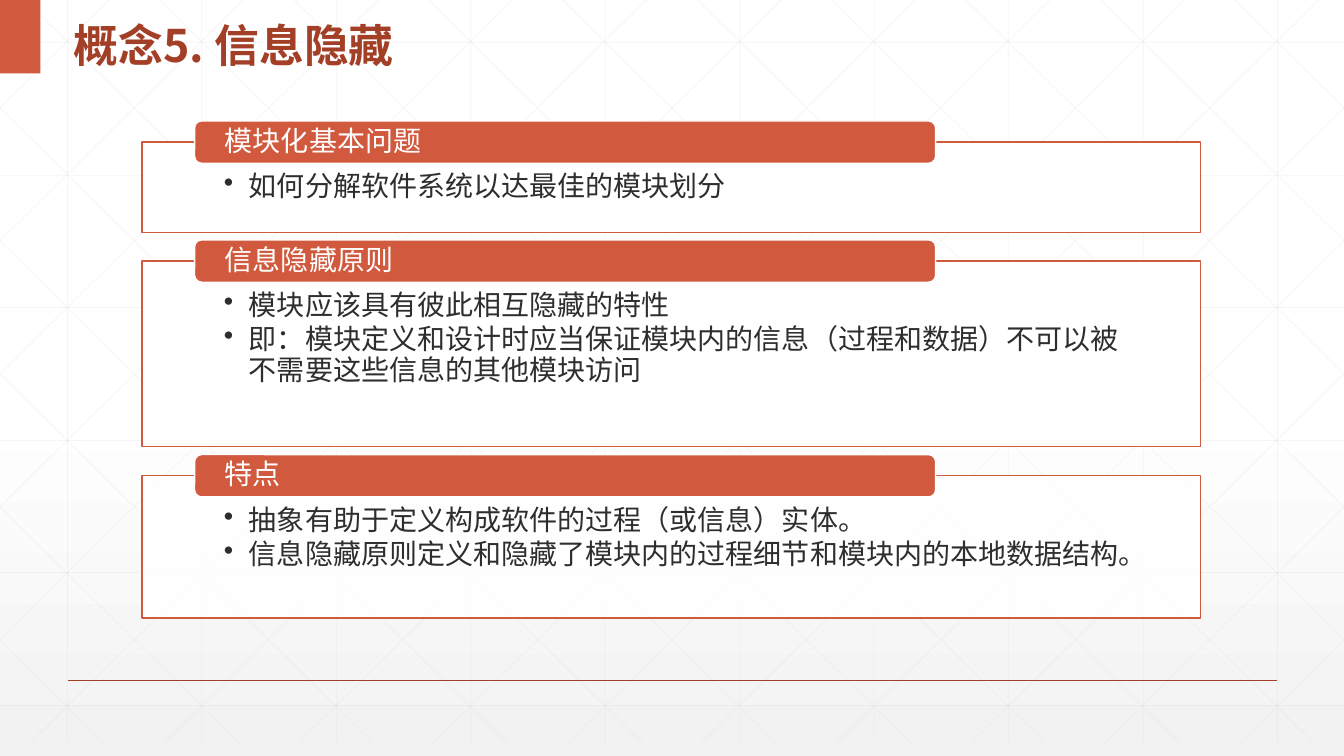
from lxml.etree import SubElement
from pptx import Presentation
from pptx.dml.color import RGBColor
from pptx.enum.shapes import MSO_CONNECTOR as CONN, MSO_SHAPE as SHAPE
from pptx.enum.text import MSO_ANCHOR as ANCHOR, PP_ALIGN as ALIGN
from pptx.oxml import parse_xml
from pptx.oxml.ns import nsdecls, qn
from pptx.util import Pt

PX = 9144  # 100 px to the inch
W, H = 1333, 750
GRID_H = 737
STEP = 400 / 3  # spacing of the grid columns
RUN = 745  # horizontal reach of a full diagonal

ORANGE = RGBColor(0xD1, 0x5A, 0x3E)
RUST = RGBColor(0xA4, 0x3F, 0x27)
INK = RGBColor(0x2D, 0x2E, 0x2D)
WHITE = RGBColor(0xFF, 0xFF, 0xFF)
GRID = RGBColor(0xD9, 0xD9, 0xD9)

# top, height, heading, bullets
PANELS = [
    (141, 90, "模块化基本问题", ["如何分解软件系统以达最佳的模块划分"]),
    (259, 184, "信息隐藏原则", [
        "模块应该具有彼此相互隐藏的特性",
        "即：模块定义和设计时应当保证模块内的信息（过程和数据）不可以被不需要这些信息的其他模块访问",
    ]),
    (472, 141, "特点", [
        "抽象有助于定义构成软件的过程（或信息）实体。",
        "信息隐藏原则定义和隐藏了模块内的过程细节和模块内的本地数据结构。",
    ]),
]

prs = Presentation()
prs.slide_width, prs.slide_height = W * PX, H * PX
s = prs.slides.add_slide(prs.slide_layouts[6])


def add_line(x1, y1, x2, y2, color, width, alpha=None):
    ends = [round(v) * PX for v in (x1, y1, x2, y2)]
    line = s.shapes.add_connector(CONN.STRAIGHT, *ends)
    line.line.color.rgb, line.line.width = color, Pt(width)
    SubElement(line._element.spPr, qn("a:effectLst"))
    if alpha:
        clr = line._element.spPr.find(".//" + qn("a:srgbClr"))
        SubElement(clr, qn("a:alpha")).set("val", str(alpha * 1000))


def add_text(p, text, size, color, font, spacing, bold=False):
    p.alignment, p.line_spacing = ALIGN.LEFT, spacing
    r = p.add_run()
    r.text = text
    f = r.font
    f.size, f.bold, f.name, f.color.rgb = Pt(size), bold, font, color
    SubElement(r._r.get_or_add_rPr(), qn("a:ea")).set("typeface", font)


# Background gradient
fill = s.background.fill
fill.gradient()
fill.gradient_angle = 270
stops = fill._fill._gradFill.find(qn("a:gsLst"))
stops.getparent().replace(stops, parse_xml(
    f'<a:gsLst {nsdecls("a")}>'
    '<a:gs pos="0"><a:srgbClr val="FFFFFF"/></a:gs>'
    '<a:gs pos="53000"><a:srgbClr val="FFFFFF"/></a:gs>'
    '<a:gs pos="100000"><a:srgbClr val="F2F2F2"><a:alpha val="65000"/></a:srgbClr></a:gs>'
    '</a:gsLst>'))

# Faint grid: columns, rows, then mirrored diagonals clipped to the slide
for i in range(10):
    x = 67 + i * STEP
    add_line(x, 0, x, GRID_H, GRID, 0.5, 25)
for i in range(6):
    y = 42 + i * 131.6
    add_line(0, y, W, y, GRID, 0.5, 25)
for i in range(-5, 10):
    x = 25 + i * STEP
    x1, x2 = max(x, 0), min(x + RUN, W)
    y1, y2 = ((v - x) * GRID_H / RUN for v in (x1, x2))
    add_line(x1, y1, x2, y2, GRID, 0.5, 25)
    add_line(W - x1, y1, W - x2, y2, GRID, 0.5, 25)

# Footer rule and corner block
add_line(67, 675, 1267, 675, RUST, 1)
corner = s.shapes.add_shape(SHAPE.RECTANGLE, 0, 0, 40 * PX, 73 * PX)
corner.shadow.inherit = False
corner.fill.solid()
corner.fill.fore_color.rgb = ORANGE
corner.line.fill.background()

# Title
title = s.shapes.add_textbox(63 * PX, 0, 569 * PX, 73 * PX)
tf = title.text_frame
tf.word_wrap, tf.vertical_anchor = True, ANCHOR.MIDDLE
add_text(tf.paragraphs[0], "概念5. 信息隐藏", 32, RUST, "Noto Sans CJK SC", 1.3, True)

# Panels with a heading tab over the top edge
for top, height, heading, bullets in PANELS:
    panel = s.shapes.add_shape(SHAPE.RECTANGLE, 141 * PX, top * PX, 1050 * PX, height * PX)
    tab = s.shapes.add_shape(SHAPE.ROUNDED_RECTANGLE, 193 * PX, (top - 21) * PX, 735 * PX, 42 * PX)
    for sp, back, edge in ((panel, WHITE, ORANGE), (tab, ORANGE, WHITE)):
        sp.shadow.inherit = False
        sp.fill.solid()
        sp.fill.fore_color.rgb = back
        sp.line.color.rgb, sp.line.width = edge, Pt(1)
        sp.text_frame.word_wrap = True
    clr = panel._element.spPr.find(qn("a:solidFill")).find(qn("a:srgbClr"))
    SubElement(clr, qn("a:alpha")).set("val", "90000")

    tf = panel.text_frame
    tf.vertical_anchor = ANCHOR.TOP
    tf.margin_left = tf.margin_right = 81 * PX
    tf.margin_top, tf.margin_bottom = 30 * PX, 16 * PX
    for i, bullet in enumerate(bullets):
        p = tf.add_paragraph() if i else tf.paragraphs[0]
        p.level = 1
        pPr = p._p.get_or_add_pPr()
        pPr.set("marL", str(25 * PX))
        pPr.set("indent", str(-25 * PX))
        SubElement(pPr, qn("a:buChar")).set("char", "•")
        p.space_after = Pt(3)
        add_text(p, bullet, 20, INK, "Arial", 0.9)

    tf = tab.text_frame
    tf.vertical_anchor = ANCHOR.MIDDLE
    tf.margin_left = tf.margin_right = 28 * PX
    tf.margin_top = tf.margin_bottom = 0
    add_text(tf.paragraphs[0], heading, 20, WHITE, "Arial", 0.9)

prs.save("out.pptx")
